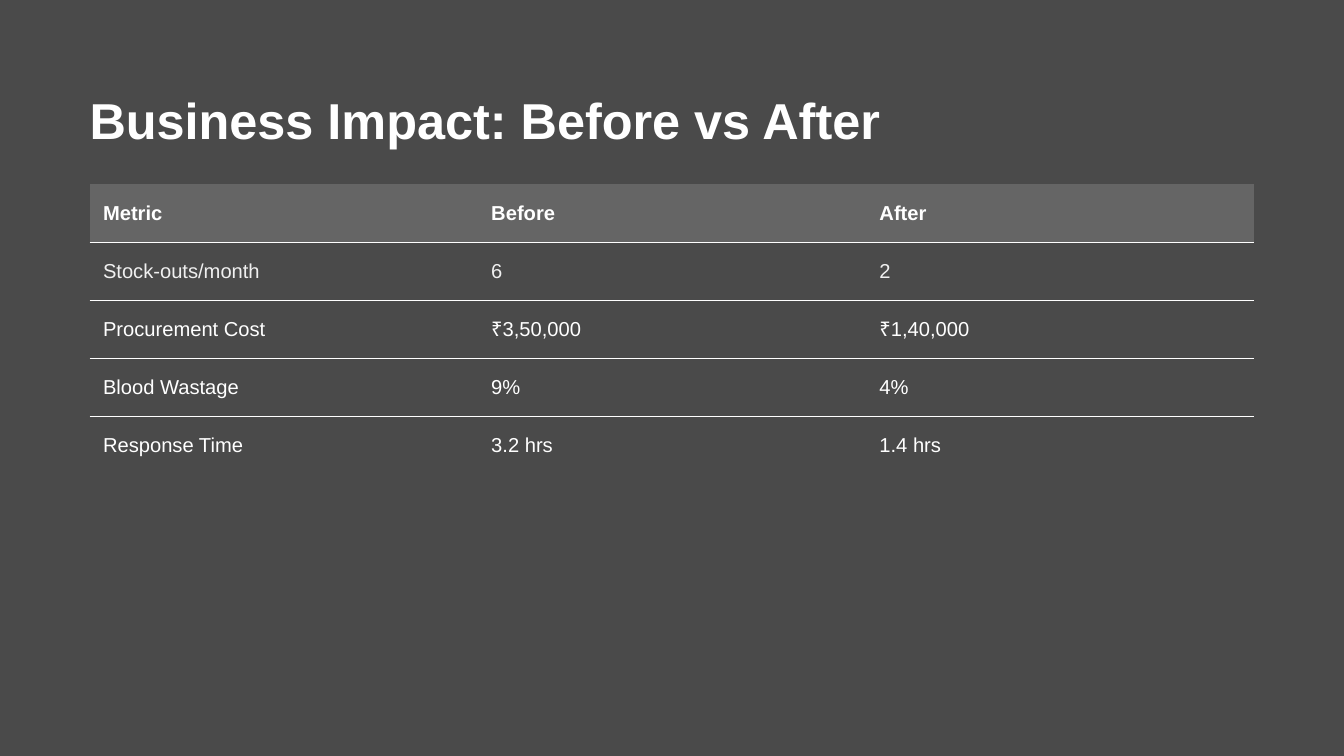
"""Build a slide with a table of business figures before and after."""
from lxml.etree import SubElement
from pptx import Presentation
from pptx.dml.color import RGBColor
from pptx.enum.text import MSO_ANCHOR
from pptx.oxml import parse_xml
from pptx.oxml.ns import nsdecls, qn
from pptx.util import Inches, Pt

ROWS = [
    ("Metric", "Before", "After"),
    ("Stock-outs/month", "6", "2"),
    ("Procurement Cost", "₹3,50,000", "₹1,40,000"),
    ("Blood Wastage", "9%", "4%"),
    ("Response Time", "3.2 hrs", "1.4 hrs"),
]
WHITE = "FFFFFF"
PLAIN = "{2D5ABB26-0587-4C30-8999-92F81FD0307C}"
RULE = (
    f'<a:lnB {nsdecls("a")} w="{Pt(0.75)}"><a:solidFill>'
    f'<a:srgbClr val="{WHITE}"/></a:solidFill></a:lnB>'
)


def paint(fill, color):
    fill.solid()
    fill.fore_color.rgb = RGBColor.from_string(color)


def add_run(para, text, size, color, bold):
    run = para.add_run()
    run.text = text
    run.font.name = "Arial"
    run.font.size = Pt(size)
    run.font.bold = bold
    paint(run.font.fill, color)


deck = Presentation()
deck.slide_width = Inches(10)
deck.slide_height = Inches(10 * 9 / 16)
slide = deck.slides.add_slide(deck.slide_layouts[6])
paint(slide.background.fill, "4A4A4A")

edge = Inches(2 / 3)
wide = deck.slide_width - 2 * edge
frame = slide.shapes.add_table(
    len(ROWS), 3, edge, Inches(1.37), wide, Inches(2.16)
)
table = frame.table
table.horz_banding = False
props = table._tbl.tblPr
for old in props.findall(qn("a:tableStyleId")):
    props.remove(old)
SubElement(props, qn("a:tableStyleId")).text = PLAIN

for i, row in enumerate(ROWS):
    head = i == 0
    for j, text in enumerate(row):
        cell = table.cell(i, j)
        cell.vertical_anchor = MSO_ANCHOR.MIDDLE
        if head:
            paint(cell.fill, "656565")
        else:
            cell.fill.background()
        if i < len(ROWS) - 1:
            cell._tc.get_or_add_tcPr().insert(0, parse_xml(RULE))
        color = "F0F0F0" if i == 1 else WHITE
        add_run(cell.text_frame.paragraphs[0], text, 10.8, color, head)

title = slide.shapes.add_textbox(
    edge, edge, Inches(8.84), Inches(0.45)
).text_frame
title.word_wrap = True
title.margin_left = title.margin_right = Inches(0)
title.margin_top = title.margin_bottom = Inches(0)
para = title.paragraphs[0]
para.line_spacing = Pt(32.4)
add_run(para, "Business Impact: Before vs After", 27, WHITE, True)

deck.save("out.pptx")
